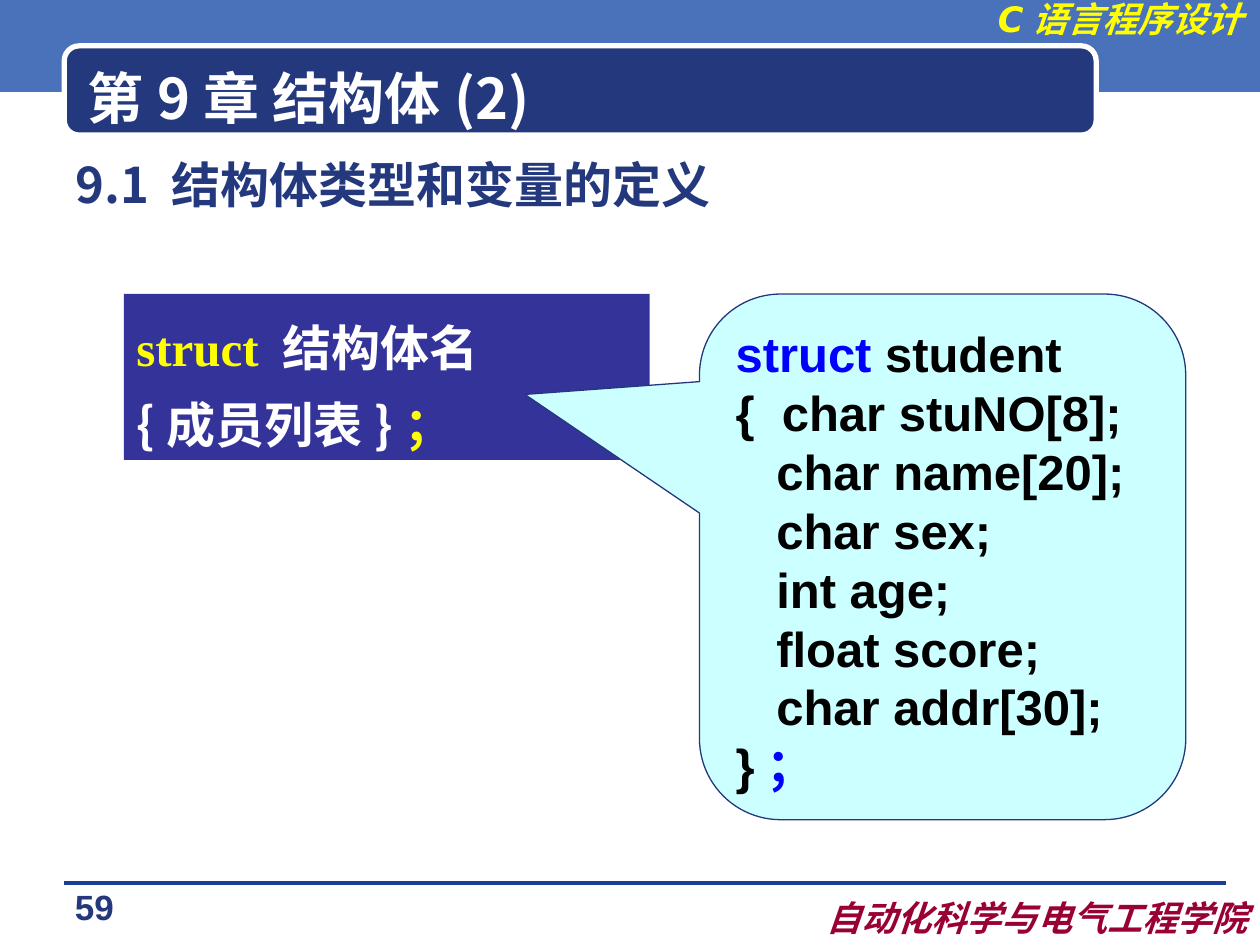
from lxml import etree
from pptx import Presentation
from pptx.dml.color import RGBColor
from pptx.enum import shapes, text
from pptx.oxml import ns
from pptx.util import Pt

BLUE = RGBColor(0x49, 0x72, 0xBB)
NAVY = RGBColor(0x23, 0x38, 0x7D)
RULE = RGBColor(0x1A, 0x3D, 0x97)
INDIGO = RGBColor(0x33, 0x33, 0x99)
CYAN = RGBColor(0xCC, 0xFF, 0xFF)
WHITE = RGBColor(0xFF, 0xFF, 0xFF)
BLACK = RGBColor(0, 0, 0)
YELLOW = RGBColor(0xFF, 0xFF, 0)
KEY = RGBColor(0, 0, 0xFF)
WINE = RGBColor(0x99, 0, 0x33)

SANS = "Arial"
SERIF = "Times New Roman"
HAN = "Noto Sans CJK SC"
DEJA = "DejaVu Sans"

FORM = shapes.MSO_SHAPE
ALIGN = text.PP_ALIGN


def add_form(slide, kind, box, fill, line=None, width=0, adj=()):
    form = slide.shapes.add_shape(kind, *map(Pt, box))
    form.shadow.inherit = False
    form.fill.solid()
    form.fill.fore_color.rgb = fill
    if line is None:
        form.line.fill.background()
    else:
        form.line.color.rgb = line
        form.line.width = Pt(width)
    for i, value in enumerate(adj):
        form.adjustments[i] = value
    return form


def add_rule(slide, left, right, y):
    rule = slide.shapes.add_connector(
        shapes.MSO_CONNECTOR.STRAIGHT, Pt(left), Pt(y), Pt(right), Pt(y))
    rule.line.color.rgb = RULE
    rule.line.width = Pt(0)
    etree.SubElement(rule._element.spPr, ns.qn("a:effectLst"))


def add_run(para, words, size, face, color, italic=False):
    run = para.add_run()
    run.text = words
    font = run.font
    font.size, font.name, font.bold = Pt(size), face, True
    if italic:
        font.italic = True
    font.color.rgb = color
    # East Asian glyphs need their own typeface entry
    latin = run._r.rPr.find(ns.qn("a:latin"))
    east = etree.Element(ns.qn("a:ea"), typeface=HAN)
    latin.addnext(east)


def fill_text(shape, lines, size, align=ALIGN.LEFT, space=None, italic=False):
    """Each line is a list of (words, face, color) runs."""
    frame = shape.text_frame
    frame.word_wrap = True
    frame.vertical_anchor = text.MSO_ANCHOR.TOP
    for i, runs in enumerate(lines):
        para = frame.add_paragraph() if i else frame.paragraphs[0]
        para.alignment = align
        if space:
            para.line_spacing = space
        for words, face, color in runs:
            add_run(para, words, size, face, color, italic)


def add_label(slide, box, run, size, align=ALIGN.LEFT, italic=False):
    label = slide.shapes.add_textbox(*map(Pt, box))
    fill_text(label, [[run]], size, align, italic=italic)
    return label


def main():
    deck = Presentation()
    deck.slide_width, deck.slide_height = Pt(720), Pt(540)
    slide = deck.slides.add_slide(deck.slide_layouts[6])

    # Banner, footer rule and title plate
    add_form(slide, FORM.RECTANGLE, (0, -2.2, 720, 54.7), BLUE)
    add_rule(slide, 36.7, 700.6, 504.7)
    add_form(slide, FORM.ROUNDED_RECTANGLE, (36.7, 26.2, 589.7, 51), NAVY,
             WHITE, 3, [0.167])

    # Course, school and page number
    add_label(slide, (535.7, -5, 181.4, 31.7),
              ("C语言程序设计", DEJA, YELLOW), 20, ALIGN.RIGHT, True)
    add_label(slide, (429.1, 509, 290.9, 31.7),
              ("自动化科学与电气工程学院", DEJA, WINE), 20, ALIGN.RIGHT, True)
    add_label(slide, (14.4, 502.6, 79.2, 31), ("59", SANS, NAVY), 20,
              ALIGN.CENTER)

    # Chapter title and section heading
    title = add_label(slide, (43.2, 33.1, 563.8, 44.6),
                      ("第9章 结构体(2)", HAN, WHITE), 32)
    title.text_frame.vertical_anchor = text.MSO_ANCHOR.MIDDLE
    add_label(slide, (36, 85, 648, 44),
              ("9.1 结构体类型和变量的定义", HAN, NAVY), 28)

    # General syntax
    syntax = add_form(slide, FORM.RECTANGLE, (70.8, 168, 300.5, 94.8), INDIGO)
    fill_text(syntax, [
        [("struct ", SERIF, YELLOW), ("结构体名", HAN, WHITE)],
        [("{成员列表}", HAN, WHITE), ("；", HAN, YELLOW)],
    ], 28, space=1.3)

    # Example in the callout
    sample = add_form(slide, FORM.ROUNDED_RECTANGULAR_CALLOUT,
                      (399.7, 168, 277.9, 300.4), CYAN, NAVY, 0.75,
                      [-0.859, -0.309, 0.167])
    body = ["{  char stuNO[8];", "   char name[20];", "   char sex;",
            "   int age;", "   float score;", "   char addr[30];"]
    fill_text(sample, [
        [("struct ", SANS, KEY), ("student", SANS, BLACK)],
        *[[(code, SANS, BLACK)] for code in body],
        [("}", SANS, BLACK), ("；", SANS, KEY)],
    ], 28)

    deck.save("out.pptx")


if __name__ == "__main__":
    main()
